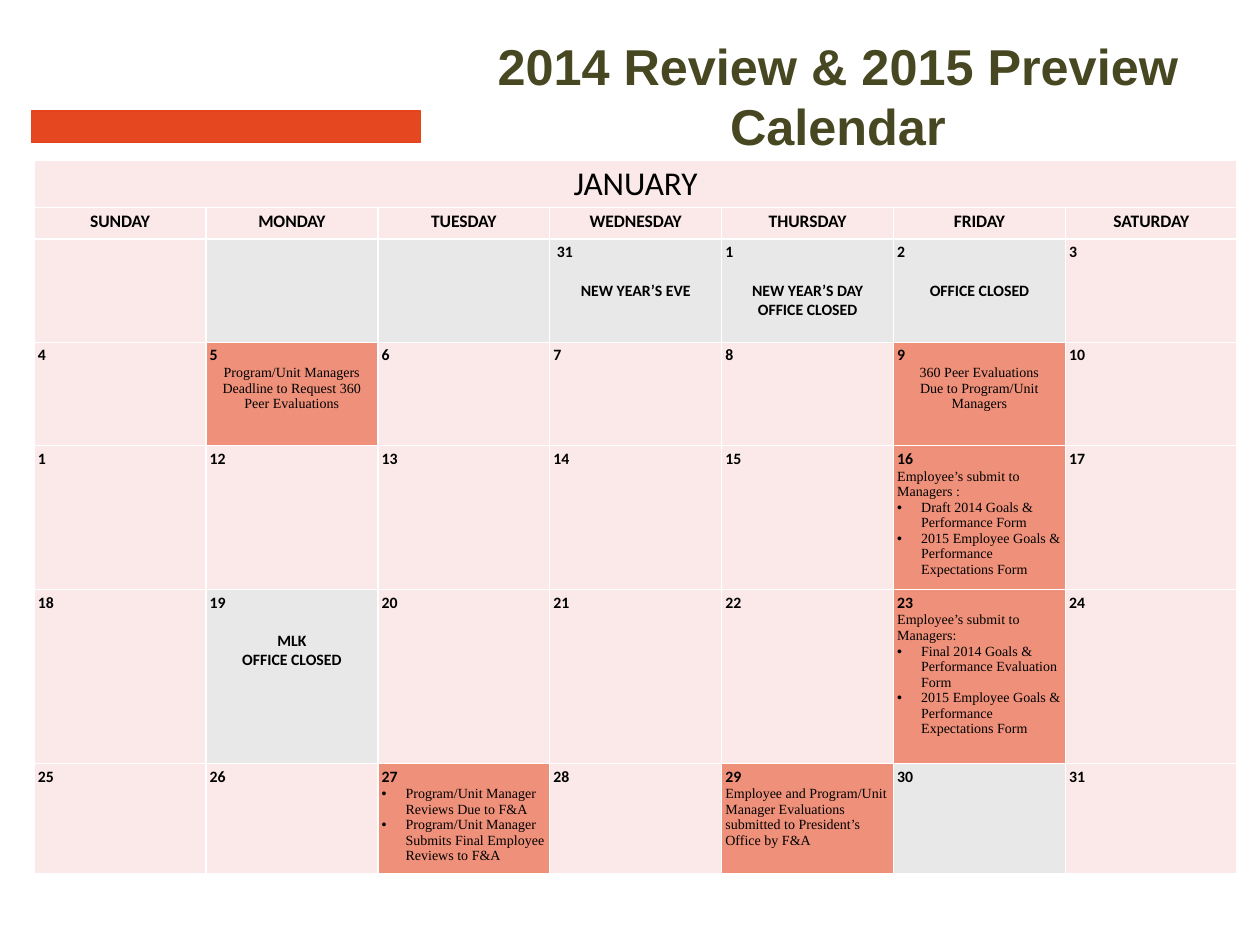
from dataclasses import dataclass

from lxml.etree import SubElement
from pptx import Presentation
from pptx.dml.color import RGBColor
from pptx.enum.shapes import MSO_SHAPE
from pptx.enum.text import MSO_ANCHOR, PP_ALIGN
from pptx.oxml import parse_xml
from pptx.oxml.ns import nsdecls, qn
from pptx.util import Inches, Pt

TITLE = "2014 Review & 2015 Preview Calendar"
MONTH = "JANUARY"
WEEKDAYS = ["SUNDAY", "MONDAY", "TUESDAY", "WEDNESDAY", "THURSDAY", "FRIDAY", "SATURDAY"]
WEEKS = [
    ["", "", "", " 31", "1", "2", "3"],
    ["4", "5", "6", "7", "8", "9", "10"],
    ["1", "12", "13", "14", "15", "16", "17"],
    ["18", "19", "20", "21", "22", "23", "24"],
    ["25", "26", "27", "28", "29", "30", "31"],
]
HOLIDAYS = {
    (0, 1): [],
    (0, 2): [],
    (0, 3): ["NEW YEAR’S EVE"],
    (0, 4): ["NEW YEAR’S DAY", "OFFICE CLOSED"],
    (0, 5): ["OFFICE CLOSED"],
    (3, 1): ["MLK", "OFFICE CLOSED"],
    (4, 5): [],
}
DEADLINES = {
    (1, 1): [("center", "Program/Unit Managers Deadline to Request 360 Peer Evaluations")],
    (1, 5): [("center", "360 Peer Evaluations"), ("center", "Due to Program/Unit Managers")],
    (2, 5): [
        ("left", "Employee’s submit to Managers :"),
        ("bullet", "Draft 2014 Goals & Performance Form"),
        ("bullet", "2015 Employee Goals & Performance Expectations Form"),
    ],
    (3, 5): [
        ("left", "Employee’s submit to Managers:"),
        ("bullet", "Final 2014 Goals & Performance Evaluation Form"),
        ("bullet", "2015 Employee Goals & Performance Expectations Form"),
    ],
    (4, 2): [
        ("bullet", "Program/Unit Manager Reviews Due to F&A"),
        ("bullet", "Program/Unit Manager Submits Final Employee Reviews to F&A"),
    ],
    (4, 4): [("left", "Employee and Program/Unit Manager Evaluations submitted to President’s Office by F&A")],
}
ROW_HEIGHTS = [0.37, 0.25, 0.82, 0.82, 1.11, 1.38, 0.84]
TABLE_LEFT, TABLE_TOP, TABLE_WIDTH = 0.27, 1.27, 9.55


@dataclass(frozen=True)
class Theme:
    title: str = "474822"
    bar: str = "E54721"
    bar_line: str = "E5431B"
    text: str = "000000"
    day: str = "FAE9E8"
    holiday: str = "E8E8E8"
    deadline: str = "EF917A"
    border: str = "FFFFFF"
    title_font: str = "Arial"
    day_font: str = "Calibri"
    deadline_font: str = "Times New Roman"
    title_size: float = 28.8
    month_size: float = 19
    weekday_size: float = 10
    day_size: float = 9
    deadline_size: float = 8


THEME = Theme()


def write(paragraph, text, font, size, bold=False, color=THEME.text, alignment=PP_ALIGN.LEFT):
    paragraph.text = text
    paragraph.alignment = alignment
    paragraph.font.name = font
    paragraph.font.size = Pt(size)
    paragraph.font.bold = bold
    paragraph.font.color.rgb = RGBColor.from_string(color)


def add_bullet(paragraph):
    properties = paragraph._p.get_or_add_pPr()
    properties.set("marL", str(Inches(0.19)))
    properties.set("indent", str(-Inches(0.19)))
    SubElement(properties, qn("a:buFont")).set("typeface", "Arial")
    SubElement(properties, qn("a:buChar")).set("char", "•")


def style_cell(cell, color):
    cell.margin_left = cell.margin_right = cell.margin_top = cell.margin_bottom = Inches(0.03)
    cell.fill.solid()
    cell.fill.fore_color.rgb = RGBColor.from_string(color)
    for index, side in enumerate(["lnL", "lnR", "lnT", "lnB"]):
        border = parse_xml(
            f'<a:{side} {nsdecls("a")} w="{Pt(1)}"><a:solidFill>'
            f'<a:srgbClr val="{THEME.border}"/></a:solidFill></a:{side}>'
        )
        cell._tc.get_or_add_tcPr().insert(index, border)


def fill_day(cell, place, date):
    color = THEME.holiday if place in HOLIDAYS else THEME.deadline if place in DEADLINES else THEME.day
    style_cell(cell, color)
    frame = cell.text_frame
    write(frame.paragraphs[0], date, THEME.day_font, THEME.day_size, True)
    for index, text in enumerate(HOLIDAYS.get(place, [])):
        paragraph = frame.add_paragraph()
        if index == 0:
            paragraph.space_before = Pt(11)
        write(paragraph, text, THEME.day_font, THEME.day_size, True, alignment=PP_ALIGN.CENTER)
    for kind, text in DEADLINES.get(place, []):
        paragraph = frame.add_paragraph()
        if kind == "bullet":
            add_bullet(paragraph)
        alignment = PP_ALIGN.CENTER if kind == "center" else PP_ALIGN.LEFT
        write(paragraph, text, THEME.deadline_font, THEME.deadline_size, alignment=alignment)


def add_header(slide):
    bar = slide.shapes.add_shape(MSO_SHAPE.RECTANGLE, Inches(0.25), Inches(0.88), Inches(3.09), Inches(0.25))
    bar.shadow.inherit = False
    bar.fill.solid()
    bar.fill.fore_color.rgb = RGBColor.from_string(THEME.bar)
    bar.line.color.rgb = RGBColor.from_string(THEME.bar_line)
    bar.line.width = Pt(0.75)
    title = slide.shapes.add_textbox(Inches(3.54), Inches(0.31), Inches(6.22), Inches(0.89))
    frame = title.text_frame
    frame.word_wrap = True
    frame.vertical_anchor = MSO_ANCHOR.MIDDLE
    write(frame.paragraphs[0], TITLE, THEME.title_font, THEME.title_size, True, THEME.title, PP_ALIGN.CENTER)


def add_calendar(slide):
    table = slide.shapes.add_table(
        len(ROW_HEIGHTS), len(WEEKDAYS), Inches(TABLE_LEFT), Inches(TABLE_TOP),
        Inches(TABLE_WIDTH), Inches(sum(ROW_HEIGHTS)),
    ).table
    for row, height in zip(table.rows, ROW_HEIGHTS):
        row.height = Inches(height)
    for column in table.columns:
        column.width = Inches(TABLE_WIDTH / len(WEEKDAYS))
    month = table.cell(0, 0)
    month.merge(table.cell(0, len(WEEKDAYS) - 1))
    style_cell(month, THEME.day)
    write(month.text_frame.paragraphs[0], MONTH, THEME.day_font, THEME.month_size, alignment=PP_ALIGN.CENTER)
    for column, weekday in enumerate(WEEKDAYS):
        cell = table.cell(1, column)
        style_cell(cell, THEME.day)
        write(cell.text_frame.paragraphs[0], weekday, THEME.day_font, THEME.weekday_size, True,
              alignment=PP_ALIGN.CENTER)
    for week, dates in enumerate(WEEKS):
        for column, date in enumerate(dates):
            fill_day(table.cell(week + 2, column), (week, column), date)


def main():
    presentation = Presentation()
    presentation.slide_width, presentation.slide_height = Inches(10), Inches(7.5)
    slide = presentation.slides.add_slide(presentation.slide_layouts[6])
    add_header(slide)
    add_calendar(slide)
    presentation.save("out.pptx")


if __name__ == "__main__":
    main()
